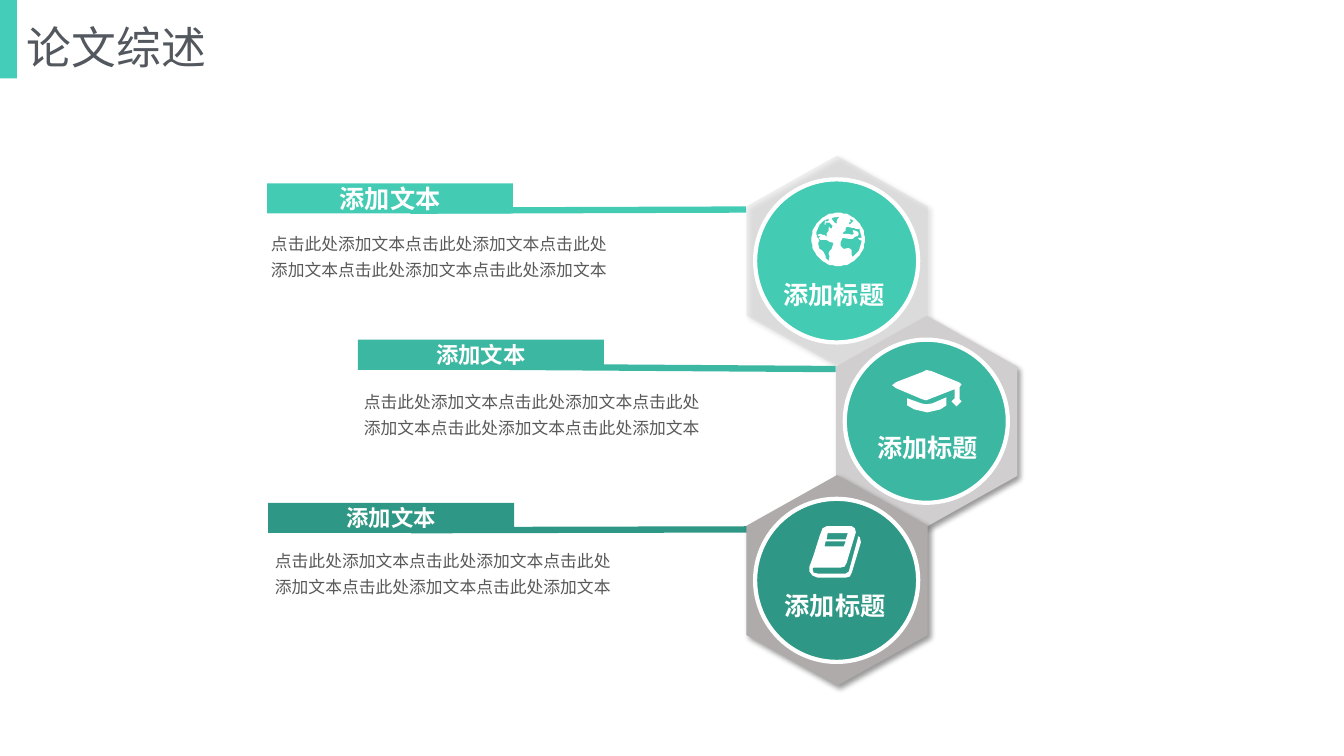
"""Build the literature review slide with three hexagon topics."""
from math import cos, pi, sin

from lxml.etree import SubElement
from pptx import Presentation
from pptx.dml.color import RGBColor
from pptx.enum.shapes import MSO_CONNECTOR, MSO_SHAPE
from pptx.enum.text import MSO_ANCHOR, MSO_AUTO_SIZE, PP_ALIGN
from pptx.oxml.ns import qn
from pptx.util import Cm, Pt

FONT = "Noto Sans CJK SC"
WHITE = RGBColor(0xFF, 0xFF, 0xFF)
HEADING_GREY = RGBColor(0x53, 0x58, 0x5F)
BODY_GREY = RGBColor(0x59, 0x59, 0x59)
BAR_GREEN = RGBColor(0x44, 0xCE, 0xB9)
LIGHT_GREEN = RGBColor(0x43, 0xCB, 0xB4)
MID_GREEN = RGBColor(0x3B, 0xB7, 0xA2)
DARK_GREEN = RGBColor(0x2F, 0x97, 0x85)
LIGHT_GREY = RGBColor(0xD0, 0xCE, 0xCE)
MID_GREY = RGBColor(0xAF, 0xAB, 0xAB)
ICON_UNIT = Cm(2.54) / 100

presentation = Presentation()
presentation.slide_width, presentation.slide_height = Cm(33.87), Cm(19.05)
slide = presentation.slides.add_slide(presentation.slide_layouts[6])
shapes = slide.shapes


def add_filled(kind, left, top, width, height, color):
    shape = shapes.add_shape(kind, Cm(left), Cm(top), Cm(width), Cm(height))
    shape.shadow.inherit = False
    shape.fill.solid()
    shape.fill.fore_color.rgb = color
    shape.line.fill.background()
    return shape


def write(shape, text, color, size, bold=False, align=PP_ALIGN.LEFT, spacing=None, **frame_format):
    frame = shape.text_frame
    for name, value in frame_format.items():
        setattr(frame, name, value)
    paragraph = frame.paragraphs[0]
    paragraph.alignment, paragraph.line_spacing = align, spacing
    run = paragraph.add_run()
    run.text = text
    run.font.color.rgb = color
    for name, value in {"size": Pt(size), "bold": bold, "name": FONT}.items():
        setattr(run.font, name, value)
    SubElement(run.font._element, qn("a:ea"), typeface=FONT)


GROW = MSO_AUTO_SIZE.SHAPE_TO_FIT_TEXT
heading = shapes.add_textbox(Cm(0.43), Cm(0.36), Cm(9.93), Cm(1.63))
write(heading, "论文综述", HEADING_GREY, 32, word_wrap=True, auto_size=GROW)
add_filled(MSO_SHAPE.RECTANGLE, 0, 0, 0.43, 1.98, BAR_GREEN)

topics = [
    {"color": LIGHT_GREEN, "hexagon_color": LIGHT_GREY, "opacity": 30, "hexagon": (18.44, 4.29),
     "line": (10.34, 5.31, 18.8, 5.28), "title": (19.48, 6.91),
     "banner": (6.73, 4.62), "banner_size": 18, "body": (6.58, 5.61)},
    {"color": MID_GREEN, "hexagon_color": LIGHT_GREY, "opacity": 100, "hexagon": (20.7, 8.33),
     "line": (9.32, 9.22, 21.06, 9.3), "title": (21.84, 10.77),
     "banner": (9.02, 8.56), "banner_size": 16, "body": (8.92, 9.6)},
    {"color": DARK_GREEN, "hexagon_color": MID_GREY, "opacity": 100, "hexagon": (18.44, 12.34),
     "line": (10.36, 13.36, 18.82, 13.34), "title": (19.51, 14.76),
     "banner": (6.76, 12.67), "banner_size": 16, "body": (6.68, 13.59)},
]

for topic in topics:
    color = topic["color"]
    connector = shapes.add_connector(MSO_CONNECTOR.STRAIGHT, *map(Cm, topic["line"]))
    connector.line.color.rgb = color
    connector.line.width = Pt(4.5)
    SubElement(connector._element.spPr, qn("a:effectLst"))

    left, top = topic["hexagon"]
    hexagon = add_filled(MSO_SHAPE.HEXAGON, left, top, 5.31, 4.57, topic["hexagon_color"])
    hexagon.rotation = 270
    hexagon.adjustments[0] = 0.28
    properties = hexagon._element.spPr
    if topic["opacity"] < 100:
        fill_color = properties.find(qn("a:solidFill"))[0]
        SubElement(fill_color, qn("a:alpha"), val=str(topic["opacity"] * 1000))
    shadow = SubElement(properties.find(qn("a:effectLst")), qn("a:outerShdw"),
                        blurRad=str(Pt(4)), dist=str(Pt(3)), dir=str(45 * 60000),
                        algn="tl", rotWithShape="0")
    shadow_color = SubElement(shadow, qn("a:srgbClr"), val="000000")
    SubElement(shadow_color, qn("a:alpha"), val="40000")

    circle = add_filled(MSO_SHAPE.OVAL, left + 0.59, top + 0.23, 4.11, 4.11, color)
    circle.line.color.rgb = WHITE
    circle.line.width = Pt(3)

    title = shapes.add_textbox(*map(Cm, topic["title"]), Cm(3.07), Cm(1.02))
    write(title, "添加标题", WHITE, 18, True, PP_ALIGN.CENTER, word_wrap=False, auto_size=GROW)
    banner = add_filled(MSO_SHAPE.RECTANGLE, *topic["banner"], 6.2, 0.76, color)
    write(banner, "添加文本", WHITE, topic["banner_size"], True, PP_ALIGN.CENTER,
          vertical_anchor=MSO_ANCHOR.MIDDLE)

for topic in topics:
    body = shapes.add_textbox(*map(Cm, topic["body"]), Cm(9.14), Cm(2.18))
    write(body, "点击此处添加文本" * 5, BODY_GREY, 12, spacing=1.3, word_wrap=True, auto_size=GROW)

globe_rim = [(26.5 + 26.5 * cos(step * pi / 30), 26.5 + 26.5 * sin(step * pi / 30))
             for step in range(60)]
island = [(37, 10), (39, 9), (38, 6), (42, 8), (38, 12)]
americas = [
    (21, 33), (20, 36), (18, 38), (17, 41), (18, 43), (17, 48), (14, 45), (14, 43), (12, 39),
    (10, 37), (8, 36), (7, 32), (7, 29), (8, 28), (7, 26), (6, 25), (5, 22), (5, 19), (8, 12),
    (12, 8), (17, 6), (17, 8), (15, 9), (14, 8), (13, 10), (13, 12), (14, 12), (14, 10),
    (18, 10), (21, 13), (20, 16), (18, 15), (18, 14), (17, 15), (17, 18), (15, 21), (15, 24),
    (13, 22), (11, 22), (9, 21), (6, 22), (7, 23), (9, 24), (7, 25), (9, 27), (15, 27),
    (18, 29), (22, 30)]
greenland = [(26, 6), (25, 9), (25, 11), (23, 10), (20, 6), (21, 5), (28, 4)]
africa = [
    (48, 27), (50, 28), (47, 38), (41, 44), (40, 42), (40, 37), (37, 35), (32, 36), (29, 33),
    (29, 29), (31, 25), (37, 26), (41, 26), (43, 24), (46, 23), (47, 21), (46, 19), (41, 17),
    (42, 21), (40, 22), (37, 21), (31, 21), (32, 19), (34, 18), (34, 15), (36, 14), (40, 15),
    (42, 15), (44, 16), (47, 16), (47, 14), (50, 25), (46, 25)]
book_cover = [
    (48, 10), (50, 11), (51, 16), (42, 46), (40, 50), (36, 51), (8, 51), (3, 49), (0, 45),
    (0, 40), (4, 29), (10, 10), (13, 2), (17, 0), (42, 0), (45, 2), (46, 6), (37, 36),
    (35, 40), (31, 41), (4, 41), (3, 42), (4, 46), (8, 47), (36, 47), (39, 45), (48, 12)]
book_lines = [[(17, 13), (36, 13), (38, 7), (18, 7)], [(15, 20), (34, 20), (36, 15), (16, 15)]]
cap_board = [
    (69, 18), (69, 30), (71, 32), (66, 37), (61, 32), (64, 29), (64, 20), (41, 29), (36, 31),
    (32, 30), (6, 19), (2, 16), (6, 13), (32, 3), (36, 1), (41, 2), (68, 13), (71, 15)]
cap_base = [
    (42, 34), (56, 28), (56, 36), (50, 40), (37, 43), (24, 40), (17, 36), (17, 29), (31, 34),
    (36, 35)]

icons = [
    (20.45, 5.36, [globe_rim, island, americas, greenland, africa]),
    (20.4, 13.26, [book_cover, *book_lines]),
    (22.43, 9.3, [cap_board, cap_base]),
]
for left, top, outlines in icons:
    builder = shapes.build_freeform(*outlines[0][0], scale=ICON_UNIT)
    for outline in outlines:
        builder.move_to(*outline[0])
        builder.add_line_segments(outline[1:], close=True)
    icon = builder.convert_to_shape(Cm(left), Cm(top))
    icon.shadow.inherit = False
    icon.fill.solid()
    icon.fill.fore_color.rgb = WHITE
    icon.line.fill.background()

presentation.save("out.pptx")
